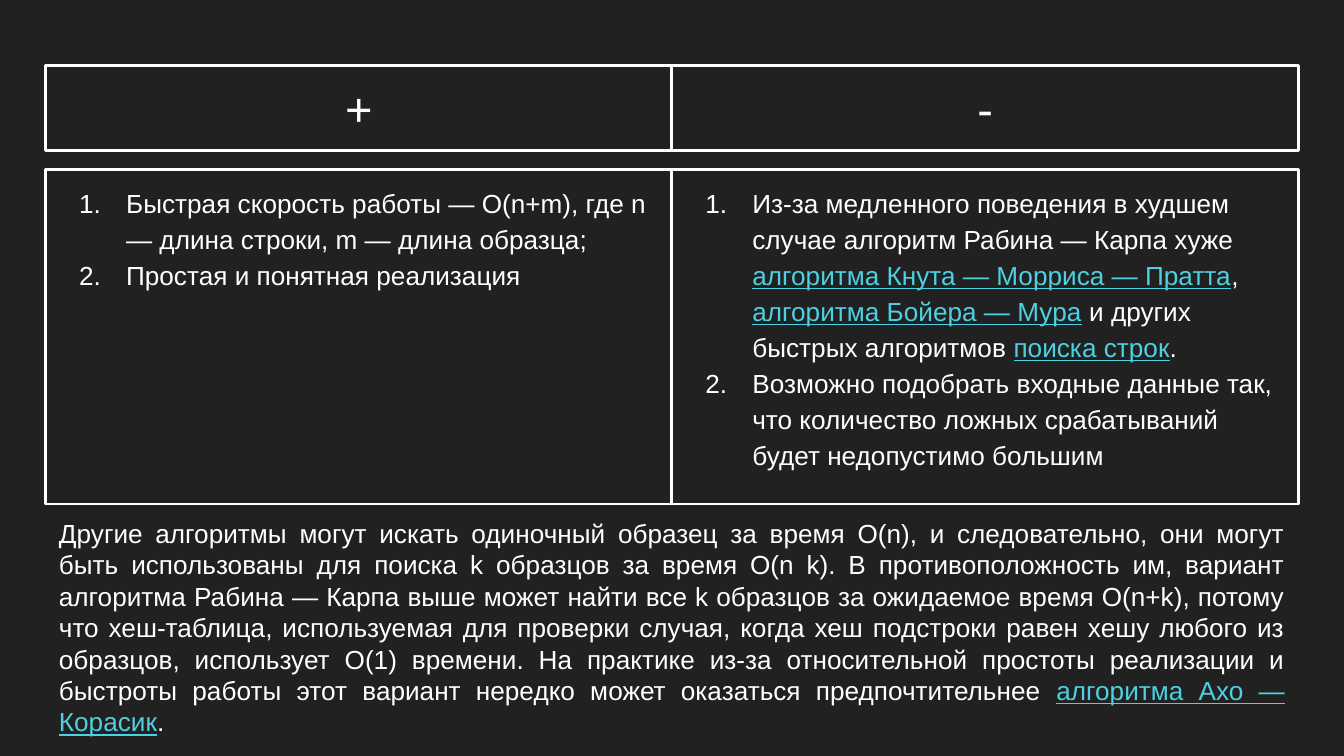
from dataclasses import dataclass

from lxml.etree import SubElement
from pptx import Presentation
from pptx.dml.color import RGBColor
from pptx.enum.shapes import MSO_SHAPE
from pptx.enum.text import MSO_ANCHOR, MSO_AUTO_SIZE, PP_ALIGN
from pptx.oxml.ns import qn
from pptx.util import Inches, Pt


@dataclass(frozen=True)
class Theme:
    """Colours, font and type sizes of the slide."""
    background: str = "212121"
    text: str = "FFFFFF"
    link: str = "4DD0E1"
    font: str = "Arial"
    heading_size: float = 25.2
    body_size: float = 14
    border: float = 1.5


THEME = Theme()
PAGE_WIDTH = 10
PAGE_HEIGHT = PAGE_WIDTH * 9 / 16
LEFT, COLUMN_WIDTH = 0.34, 4.66
HEADING_TOP, HEADING_HEIGHT = 0.49, 0.63
LIST_TOP, LIST_HEIGHT = 1.26, 2.49
SUMMARY_TOP, SUMMARY_HEIGHT = 3.75, 1.85

COLUMNS = [
    ("+", [
        ["Быстрая скорость работы — O(n+m), где n — длина строки, m — длина образца;"],
        ["Простая и понятная реализация"],
    ]),
    ("-", [
        ["Из-за медленного поведения в худшем случае алгоритм Рабина — Карпа хуже ",
         "алгоритма Кнута — Морриса — Пратта", ", ",
         "алгоритма Бойера — Мура", " и других быстрых алгоритмов ",
         "поиска строк", "."],
        ["Возможно подобрать входные данные так, что количество ложных "
         "срабатываний будет недопустимо большим"],
    ]),
]
SUMMARY = [
    "Другие алгоритмы могут искать одиночный образец за время O(n), и следовательно, "
    "они могут быть использованы для поиска k образцов за время O(n k). "
    "В противоположность им, вариант алгоритма Рабина — Карпа выше может найти все "
    "k образцов за ожидаемое время O(n+k), потому что хеш-таблица, используемая для "
    "проверки случая, когда хеш подстроки равен хешу любого из образцов, использует "
    "O(1) времени. На практике из-за относительной простоты реализации и быстроты "
    "работы этот вариант нередко может оказаться предпочтительнее ",
    "алгоритма Ахо — Корасик", ".",
]


def set_margins(frame):
    """Wrap the text inside equal margins."""
    frame.word_wrap = True
    frame.margin_left = frame.margin_right = Inches(0.1)
    frame.margin_top = frame.margin_bottom = Inches(0.1)


def add_frame(page, left, top, height):
    """Add an outlined column box and return its text frame."""
    box = page.shapes.add_shape(MSO_SHAPE.RECTANGLE, Inches(left), Inches(top),
                                Inches(COLUMN_WIDTH), Inches(height))
    box.shadow.inherit = False
    box.fill.background()
    box.line.color.rgb = RGBColor.from_string(THEME.text)
    box.line.width = Pt(THEME.border)
    set_margins(box.text_frame)
    box.text_frame.vertical_anchor = MSO_ANCHOR.TOP
    return box.text_frame


def write(para, pieces, size, align):
    """Fill a paragraph with pieces that alternate between plain and link text."""
    para.alignment = align
    para.font.name = THEME.font
    para.font.size = Pt(size)
    for index, text in enumerate(pieces):
        span = para.add_run()
        span.text = text
        is_link = index % 2 == 1
        span.font.color.rgb = RGBColor.from_string(THEME.link if is_link else THEME.text)
        if is_link:
            span.font.underline = True


def number(para):
    """Give a paragraph an automatic number with a hanging indent."""
    para.line_spacing = 1.15
    properties = para._p.get_or_add_pPr()
    properties.set("marL", str(Inches(0.5)))
    properties.set("indent", str(Inches(-0.35)))
    colour = SubElement(properties, qn("a:buClr"))
    SubElement(colour, qn("a:srgbClr"), val=THEME.text)
    SubElement(properties, qn("a:buFont"), typeface=THEME.font)
    SubElement(properties, qn("a:buAutoNum"), type="arabicPeriod")


def add_heading(page, left, sign):
    """Add the centred sign above a column."""
    frame = add_frame(page, left, HEADING_TOP, HEADING_HEIGHT)
    write(frame.paragraphs[0], [sign], THEME.heading_size, PP_ALIGN.CENTER)


def add_list(page, left, items):
    """Add the numbered list of a column."""
    frame = add_frame(page, left, LIST_TOP, LIST_HEIGHT)
    for index, pieces in enumerate(items):
        para = frame.add_paragraph() if index else frame.paragraphs[0]
        number(para)
        write(para, pieces, THEME.body_size, PP_ALIGN.LEFT)


def add_summary(page):
    """Add the justified text under both columns."""
    box = page.shapes.add_textbox(Inches(LEFT), Inches(SUMMARY_TOP),
                                  Inches(2 * COLUMN_WIDTH), Inches(SUMMARY_HEIGHT))
    set_margins(box.text_frame)
    box.text_frame.auto_size = MSO_AUTO_SIZE.SHAPE_TO_FIT_TEXT
    write(box.text_frame.paragraphs[0], SUMMARY, THEME.body_size, PP_ALIGN.JUSTIFY)


def main():
    """Build and save the slide."""
    deck = Presentation()
    deck.slide_width, deck.slide_height = Inches(PAGE_WIDTH), Inches(PAGE_HEIGHT)
    page = deck.slides.add_slide(deck.slide_layouts[6])
    page.background.fill.solid()
    page.background.fill.fore_color.rgb = RGBColor.from_string(THEME.background)
    for index, (sign, items) in enumerate(COLUMNS):
        left = LEFT + index * COLUMN_WIDTH
        add_heading(page, left, sign)
        add_list(page, left, items)
    add_summary(page)
    deck.save("out.pptx")


if __name__ == "__main__":
    main()
